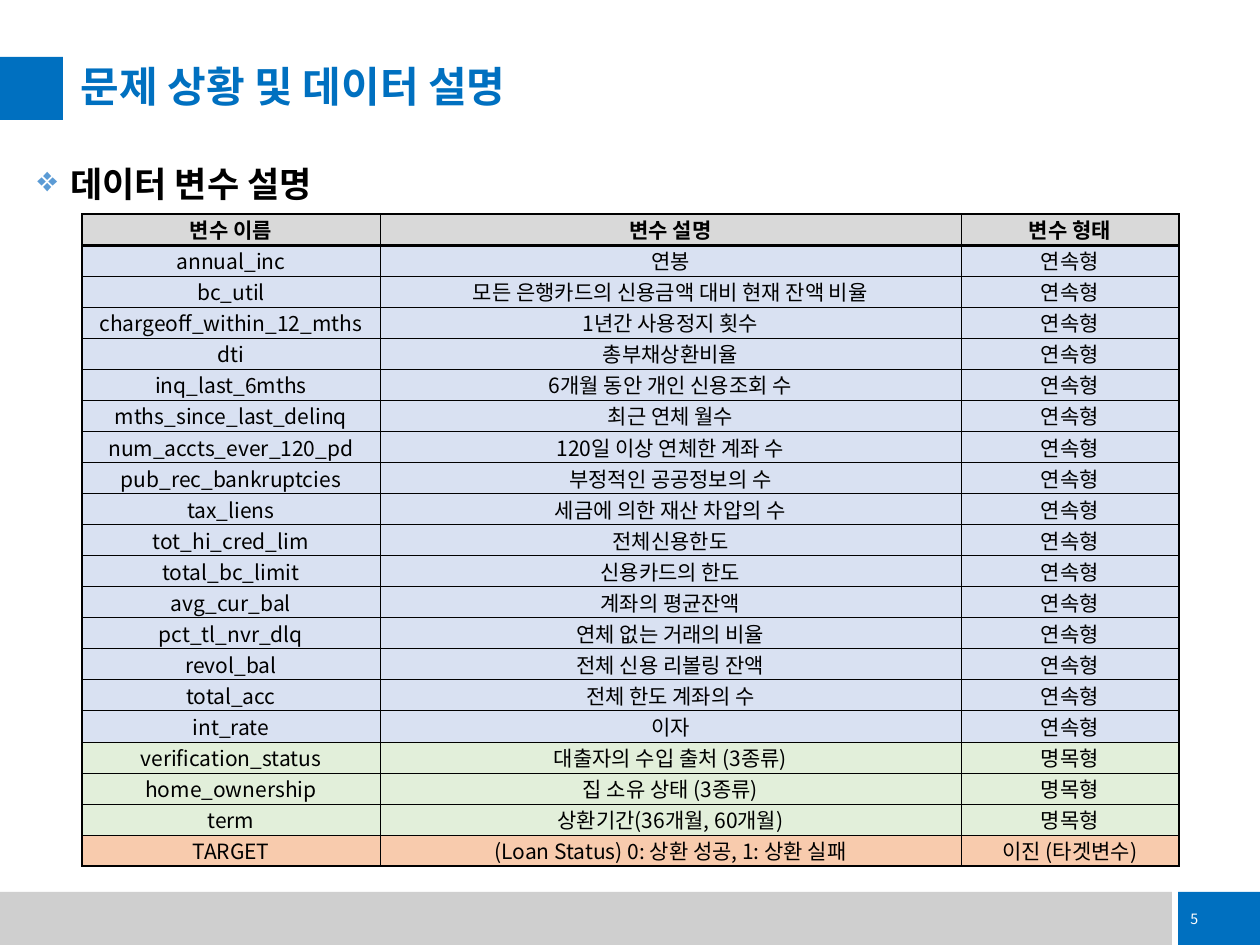
"""Build the slide that describes the variables of the loan data set."""
import pptx
import pptx.util
import pptx.dml.color
import pptx.enum.shapes
import pptx.enum.text
import pptx.oxml.ns
import lxml.etree

RGBColor = pptx.dml.color.RGBColor
ALIGN = pptx.enum.text.PP_ALIGN
ANCHOR = pptx.enum.text.MSO_ANCHOR
BLUE = RGBColor(0x00, 0x70, 0xC0)
GRAY = RGBColor(0xCF, 0xCF, 0xCF)
BLACK = RGBColor(0x00, 0x00, 0x00)
WHITE = RGBColor(0xFF, 0xFF, 0xFF)
HEADER_FILL = RGBColor(0xD9, 0xD9, 0xD9)
CONTINUOUS_FILL = RGBColor(0xD9, 0xE1, 0xF2)
NOMINAL_FILL = RGBColor(0xE2, 0xEF, 0xDA)
TARGET_FILL = RGBColor(0xF8, 0xCB, 0xAD)
KOREAN = "Noto Sans CJK KR"
PX = 914400 / 126


def add_xml(parent, tag, **attributes):
    return lxml.etree.SubElement(parent, pptx.oxml.ns.qn(tag), attributes)


def write(frame, text, size, color, bold=False, font=KOREAN, align=ALIGN.LEFT, spacing=None):
    paragraph = frame.paragraphs[0]
    paragraph.alignment = align
    paragraph.line_spacing = spacing
    run = paragraph.add_run()
    run.text = text
    run.font.size = pptx.util.Pt(size)
    run.font.bold = bold
    run.font.name = font
    run.font.color.rgb = color
    add_xml(run.font._element, "a:ea", typeface=KOREAN)
    return paragraph


prs = pptx.Presentation()
prs.slide_width = round(1260 * PX)
prs.slide_height = round(945 * PX)
slide = prs.slides.add_slide(prs.slide_layouts[6])

bars = [(0, 892, 1172, 53, GRAY), (1178, 892, 82, 53, BLUE), (0, 57, 63, 63, BLUE)]
for *box, color in bars:
    bar = slide.shapes.add_shape(
        pptx.enum.shapes.MSO_SHAPE.RECTANGLE, *[round(v * PX) for v in box])
    bar.shadow.inherit = False
    bar.fill.solid()
    bar.fill.fore_color.rgb = color
    bar.line.fill.background()
    if box[0] == 1178:
        bar.text_frame.word_wrap = False
        bar.text_frame.vertical_anchor = ANCHOR.MIDDLE
        write(bar.text_frame, "5", size=8.1, color=WHITE)

heading = slide.shapes.add_textbox(*[round(v * PX) for v in (25, 135, 1211, 764)]).text_frame
heading.word_wrap = True
heading_line = write(heading, " 데이터 변수 설명", size=20, color=BLACK, bold=True,
                     font="Cabin", spacing=1.5)
bullet = heading_line._p.get_or_add_pPr()
bullet.set("marL", str(round(25 * PX)))
bullet.set("indent", str(round(-25 * PX)))
add_xml(add_xml(bullet, "a:spcBef"), "a:spcPct", val="20000")
add_xml(add_xml(bullet, "a:buClr"), "a:srgbClr", val="5B9BD5")
add_xml(bullet, "a:buChar", char="❖")

title = slide.shapes.add_textbox(*[round(v * PX) for v in (81, 64, 1135, 48)]).text_frame
title.word_wrap = True
title.vertical_anchor = ANCHOR.BOTTOM
title.margin_left = title.margin_right = title.margin_top = title.margin_bottom = 0
write(title, "문제 상황 및 데이터 설명", size=24, color=BLUE, bold=True, spacing=0.9)

header = ("변수 이름", "변수 설명", "변수 형태")
continuous = [
    ("annual_inc", "연봉"),
    ("bc_util", "모든 은행카드의 신용금액 대비 현재 잔액 비율"),
    ("chargeoff_within_12_mths", "1년간 사용정지 횟수"),
    ("dti", "총부채상환비율"),
    ("inq_last_6mths", "6개월 동안 개인 신용조회 수"),
    ("mths_since_last_delinq", "최근 연체 월수"),
    ("num_accts_ever_120_pd", "120일 이상 연체한 계좌 수"),
    ("pub_rec_bankruptcies", "부정적인 공공정보의 수"),
    ("tax_liens", "세금에 의한 재산 차압의 수"),
    ("tot_hi_cred_lim", "전체신용한도"),
    ("total_bc_limit", "신용카드의 한도"),
    ("avg_cur_bal", "계좌의 평균잔액"),
    ("pct_tl_nvr_dlq", "연체 없는 거래의 비율"),
    ("revol_bal", "전체 신용 리볼링 잔액"),
    ("total_acc", "전체 한도 계좌의 수"),
    ("int_rate", "이자"),
]
nominal = [
    ("verification_status", "대출자의 수입 출처 (3종류)"),
    ("home_ownership", "집 소유 상태 (3종류)"),
    ("term", "상환기간(36개월, 60개월)"),
]
target = ("TARGET", "(Loan Status) 0: 상환 성공, 1: 상환 실패", "이진 (타겟변수)")
rows = [(header, HEADER_FILL)]
rows += [((*variable, "연속형"), CONTINUOUS_FILL) for variable in continuous]
rows += [((*variable, "명목형"), NOMINAL_FILL) for variable in nominal]
rows += [(target, TARGET_FILL)]
last_row = len(rows) - 1

variables = slide.shapes.add_table(
    len(rows), 3, *[round(v * PX) for v in (82, 214, 1097, 653)]).table
for column, width in zip(variables.columns, (298, 581, 218)):
    column.width = round(width * PX)

for r, (texts, fill) in enumerate(rows):
    variables.rows[r].height = round(653 * PX / len(rows))
    for c, text in enumerate(texts):
        cell = variables.cell(r, c)
        cell.margin_left = cell.margin_right = cell.margin_top = cell.margin_bottom = 0
        cell.vertical_anchor = ANCHOR.MIDDLE
        write(cell.text_frame, text, size=12, color=BLACK, bold=r == 0, align=ALIGN.CENTER)
        borders = {
            "a:lnL": 1 if c == 0 else 0.5,
            "a:lnR": 1 if c == 2 else 0.5,
            "a:lnT": {0: 1, 1: 2}.get(r, 0.5),
            "a:lnB": {0: 2, last_row: 1}.get(r, 0.5),
        }
        for side, width in borders.items():
            line = add_xml(cell._tc.get_or_add_tcPr(), side, w=str(pptx.util.Pt(width)))
            add_xml(add_xml(line, "a:solidFill"), "a:srgbClr", val=str(BLACK))
        cell.fill.solid()
        cell.fill.fore_color.rgb = fill

prs.save("out.pptx")
